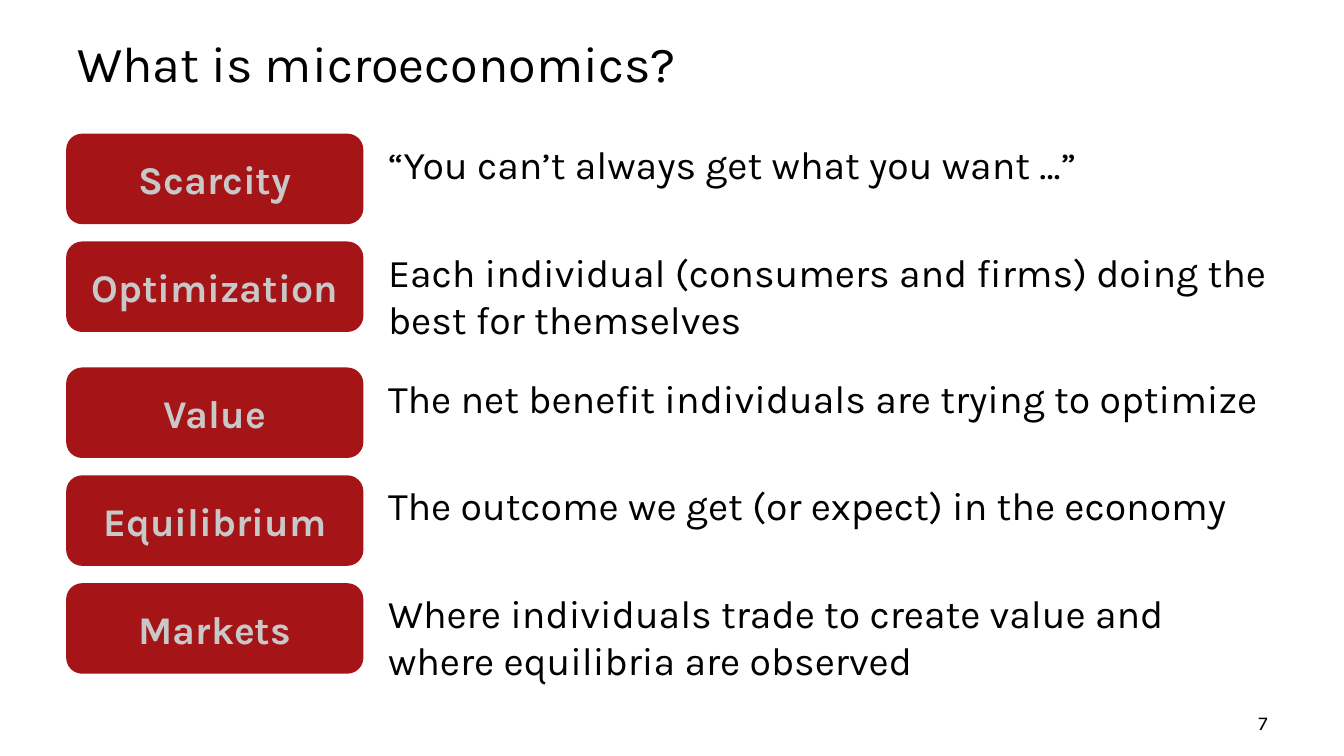
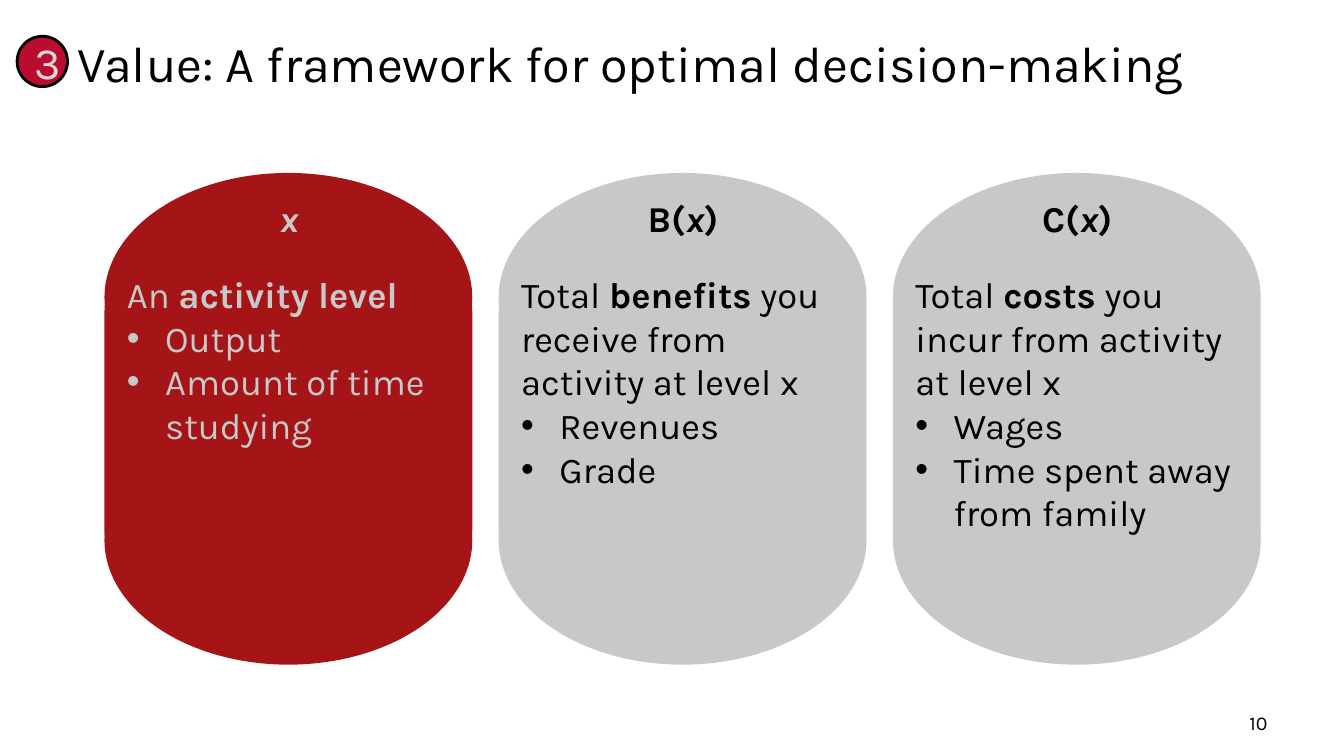
from lxml.etree import SubElement
from pptx import Presentation
from pptx.dml.color import RGBColor
from pptx.enum.shapes import MSO_SHAPE
from pptx.enum.text import MSO_ANCHOR, PP_ALIGN
from pptx.oxml.ns import qn
from pptx.util import Inches, Pt

BLACK = RGBColor(0x00, 0x00, 0x00)
WHITE = RGBColor(0xFF, 0xFF, 0xFF)
RED = RGBColor(0xA5, 0x14, 0x17)
CRIMSON = RGBColor(0xBA, 0x0C, 0x2F)
GRAY = RGBColor(0xC8, 0xC8, 0xC8)
LIGHT_GRAY = RGBColor(0xD9, 0xD9, 0xD9)
FONT = "Karla"
MARGIN = 0.67
CONTENT_WIDTH = 12
BULLET_INDENT = 0.38


class Deck:
    """Holds the shared style and the slide being filled."""

    def __init__(self):
        self.deck = Presentation()
        self.deck.slide_width = Inches(13.33)
        self.deck.slide_height = Inches(7.5)
        self.page = None

    def new_page(self, title, number):
        self.page = self.deck.slides.add_slide(self.deck.slide_layouts[6])
        self.page.background.fill.solid()
        self.page.background.fill.fore_color.rgb = WHITE
        box = self.text(MARGIN, 0.26, CONTENT_WIDTH, 0.71, [(title, "")], 36)
        box.text_frame.vertical_anchor = MSO_ANCHOR.MIDDLE
        self.text(9.56, 7, 3.11, 0.34, [(str(number), "")], 14, align=PP_ALIGN.RIGHT)

    def add_spans(self, para, spans, size, color):
        """Each span is its text and its style letters: b for bold, i for italic."""
        for words, style in spans:
            span = para.add_run()
            span.text = words
            span.font.name = FONT
            span.font.size = Pt(size)
            span.font.color.rgb = color
            span.font.bold = "b" in style
            span.font.italic = "i" in style

    def text(self, left, top, width, height, spans, size,
             color=BLACK, align=PP_ALIGN.LEFT, bullets=()):
        box = self.page.shapes.add_textbox(
            Inches(left), Inches(top), Inches(width), Inches(height))
        frame = box.text_frame
        frame.word_wrap = True
        para = frame.paragraphs[0]
        para.alignment = align
        self.add_spans(para, spans, size, color)
        for words in bullets:
            para = frame.add_paragraph()
            properties = para._p.get_or_add_pPr()
            properties.set("marL", str(Inches(BULLET_INDENT)))
            properties.set("indent", str(-Inches(BULLET_INDENT)))
            SubElement(properties, qn("a:buFont")).set("typeface", "Arial")
            SubElement(properties, qn("a:buChar")).set("char", "•")
            self.add_spans(para, [(words, "")], size, color)
        return box

    def shape(self, kind, left, top, width, height, fill, line=None):
        shape = self.page.shapes.add_shape(
            kind, Inches(left), Inches(top), Inches(width), Inches(height))
        shape.shadow.inherit = False
        shape.fill.solid()
        shape.fill.fore_color.rgb = fill
        shape.line.color.rgb = fill if line is None else line
        shape.line.width = Pt(2)
        return shape

    def label(self, shape, words, size, color, style=""):
        shape.text_frame.vertical_anchor = MSO_ANCHOR.MIDDLE
        para = shape.text_frame.paragraphs[0]
        para.alignment = PP_ALIGN.CENTER
        self.add_spans(para, [(words, style)], size, color)

    def term(self, top, name, meaning, height):
        button = self.shape(MSO_SHAPE.ROUNDED_RECTANGLE, MARGIN, top, 2.92, 0.87, RED)
        self.label(button, name, 28, GRAY, "b")
        self.text(3.75, top, 8.92, height, [(meaning, "")], 28)

    def capsule(self, left, fill, color, heading, body, bullets):
        for kind, top, height in (
                (MSO_SHAPE.OVAL, 4.14, 2.44),
                (MSO_SHAPE.ROUNDED_RECTANGLE, 2.55, 3.25),
                (MSO_SHAPE.OVAL, 1.73, 2.44)):
            self.shape(kind, left, top, 3.62, height, fill)
        self.text(left + 0.11, 1.9, 3.41, 0.54, heading, 26, color, PP_ALIGN.CENTER)
        self.text(left + 0.11, 2.65, 3.41, 2.73, body, 26, color, bullets=bullets)

    def badge(self, number):
        circle = self.shape(MSO_SHAPE.OVAL, 0.17, 0.36, 0.5, 0.5, CRIMSON, BLACK)
        self.label(circle, str(number), 32, LIGHT_GRAY)


def add_terms(deck):
    deck.new_page("What is microeconomics?", 7)
    one_line, two_lines = 0.57, 1.05
    top = 1.34
    for name, meaning, height in (
            ("Scarcity", "“You can’t always get what you want …”", one_line),
            ("Optimization", "Each individual (consumers and firms) doing the best "
             "for themselves", two_lines),
            ("Value", "The net benefit individuals are trying to optimize", one_line),
            ("Equilibrium", "The outcome we get (or expect) in the economy", one_line),
            ("Markets", "Where individuals trade to create value and where "
             "equilibria are observed", two_lines)):
        deck.term(top, name, meaning, height)
        top += max(height, 0.87) + 0.2


def add_framework(deck):
    deck.new_page("Value: A framework for optimal decision-making", 10)
    capsules = (
        (RED, GRAY, [("x", "bi")],
         [("An ", ""), ("activity level", "b")],
         ["Output", "Amount of time studying"]),
        (GRAY, BLACK, [("B(", "b"), ("x", "bi"), (")", "b")],
         [("Total ", ""), ("benefits", "b"),
          (" you receive from activity at level x", "")],
         ["Revenues", "Grade"]),
        (GRAY, BLACK, [("C(", "b"), ("x", "bi"), (")", "b")],
         [("Total ", ""), ("costs", "b"),
          (" you incur from activity at level x", "")],
         ["Wages", "Time spent away from family"]))
    for column, content in enumerate(capsules):
        deck.capsule(1.05 + 3.91 * column, *content)
    deck.badge(3)


def main():
    deck = Deck()
    add_terms(deck)
    add_framework(deck)
    deck.deck.save("out.pptx")


if __name__ == "__main__":
    main()
